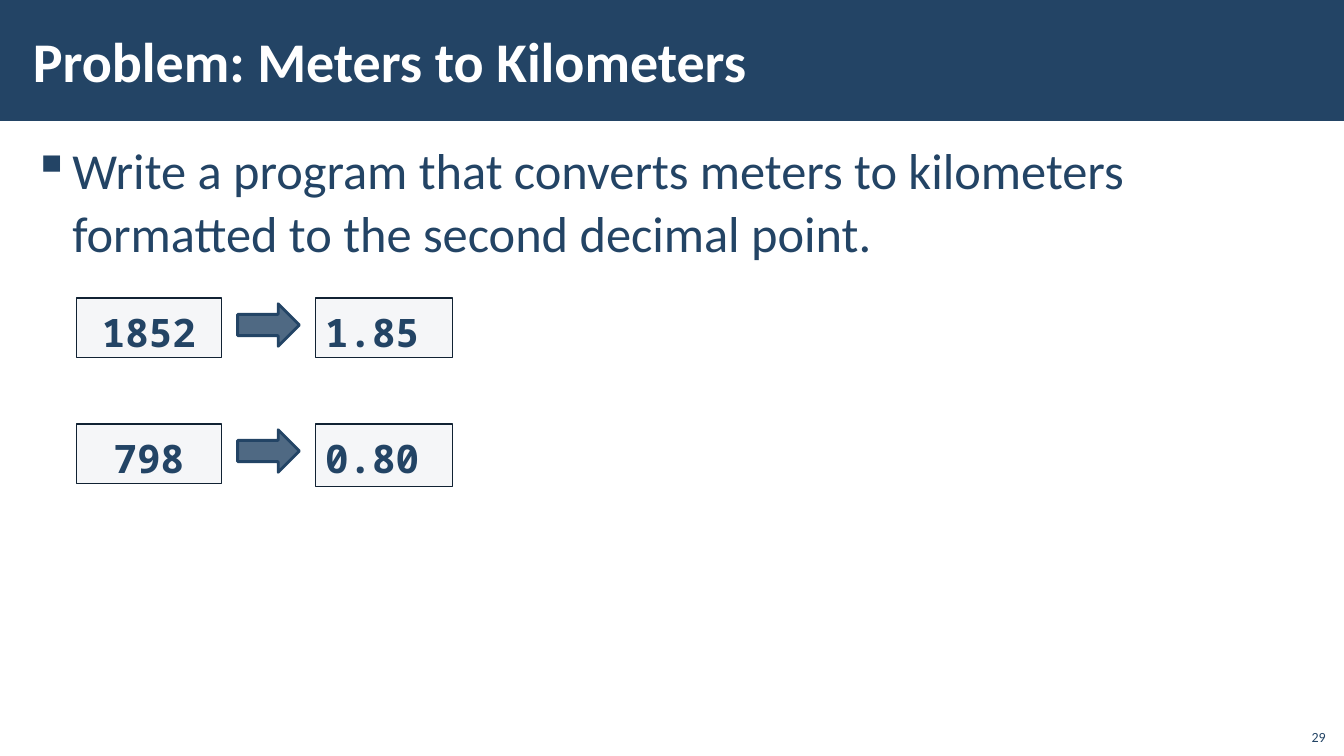
from lxml import etree
from pptx import Presentation, util as u
from pptx.dml.color import RGBColor
from pptx.enum import shapes, text
from pptx.oxml import ns

Pt = u.Pt
ALIGN = text.PP_ALIGN
ANCHOR = text.MSO_ANCHOR
SHAPE = shapes.MSO_SHAPE


class Deck:
    """Holds the style and the current slide, with a method per kind of element."""

    colors = {"navy": "234465", "white": "FFFFFF", "box": "C2C7D2", "edge": "112233"}
    body, code = "Calibri", "Noto Sans Mono"

    def __init__(self):
        self.prs = Presentation()
        self.prs.slide_width, self.prs.slide_height = Pt(960), Pt(540)
        self.s = self.prs.slides.add_slide(self.prs.slide_layouts[6])

    def rgb(self, name):
        return RGBColor.from_string(self.colors[name])

    def shape(self, kind, x, y, w, h, fill, alpha=100, line=None, width=1):
        sp = self.s.shapes.add_shape(kind, Pt(x), Pt(y), Pt(w), Pt(h))
        sp.shadow.inherit = False
        sp.fill.solid()
        sp.fill.fore_color.rgb = self.rgb(fill)
        if alpha < 100:
            clr = sp._element.spPr.find(ns.qn("a:solidFill")).find(ns.qn("a:srgbClr"))
            etree.SubElement(clr, ns.qn("a:alpha"), val=str(alpha * 1000))
        if line:
            sp.line.color.rgb = self.rgb(line)
            sp.line.width = Pt(width)
        else:
            sp.line.fill.background()
        return sp

    def put_text(self, sp, words, size, color="navy", font=body, bold=False,
                 align=ALIGN.LEFT, anchor=ANCHOR.TOP, insets=(7.2, 3.6), spacing=1):
        tf = sp.text_frame
        tf.word_wrap = True
        tf.auto_size = text.MSO_AUTO_SIZE.NONE
        tf.vertical_anchor = anchor
        tf.margin_left = tf.margin_right = Pt(insets[0])
        tf.margin_top = tf.margin_bottom = Pt(insets[1])
        p = tf.paragraphs[0]
        p.alignment, p.line_spacing = align, spacing
        r = p.add_run()
        r.text = words
        r.font.name, r.font.size, r.font.bold = font, Pt(size), bold
        r.font.color.rgb = self.rgb(color)
        return p

    def label(self, x, y, w, h, words, size, **style):
        sp = self.s.shapes.add_textbox(Pt(x), Pt(y), Pt(w), Pt(h))
        return self.put_text(sp, words, size, **style)

    def bullet(self, x, y, w, h, words, size, indent):
        p = self.label(x, y, w, h, words, size, insets=(8.5, 2.8), spacing=1.05)
        p.space_before = p.space_after = Pt(6)
        pPr = p._p.get_or_add_pPr()
        pPr.set("marL", str(Pt(indent)))
        pPr.set("indent", str(-Pt(indent)))
        etree.SubElement(pPr, ns.qn("a:buChar"), char="▪")

    def code_box(self, x, y, w, h, words, align):
        sp = self.shape(SHAPE.RECTANGLE, x, y, w, h, "box", 15, "edge")
        self.put_text(sp, words, 28, font=self.code, bold=True, align=align, spacing=1.1)

    def example(self, y, meters, kilometers, result_height):
        self.code_box(54.5, y, 103.7, 42.5, meters, ALIGN.CENTER)
        self.shape(SHAPE.RIGHT_ARROW, 169.7, y + 4, 44.2, 30.4, "navy", 80, "navy", 2)
        self.code_box(225.2, y, 97.9, result_height, kilometers, ALIGN.LEFT)


def main():
    d = Deck()
    d.shape(SHAPE.RECTANGLE, 0, 0, 960, 86.4, "navy")
    d.label(925, 512.6, 29, 23, "29", 10, align=ALIGN.RIGHT, anchor=ANCHOR.BOTTOM)
    d.bullet(15, 94.3, 930, 435.6, "Write a program that converts meters to kilometers "
             "formatted to the second decimal point.", 36, 28.2)
    d.label(15, 8, 765, 70, "Problem: Meters to Kilometers", 40, color="white",
            bold=True, anchor=ANCHOR.MIDDLE, insets=(8.5, 2.8))
    examples = [("1852", "1.85", 42.5), ("798", "0.80", 44.6)]
    for i, values in enumerate(examples):
        d.example(213 + 90 * i, *values)
    d.prs.save("out.pptx")


if __name__ == "__main__":
    main()
